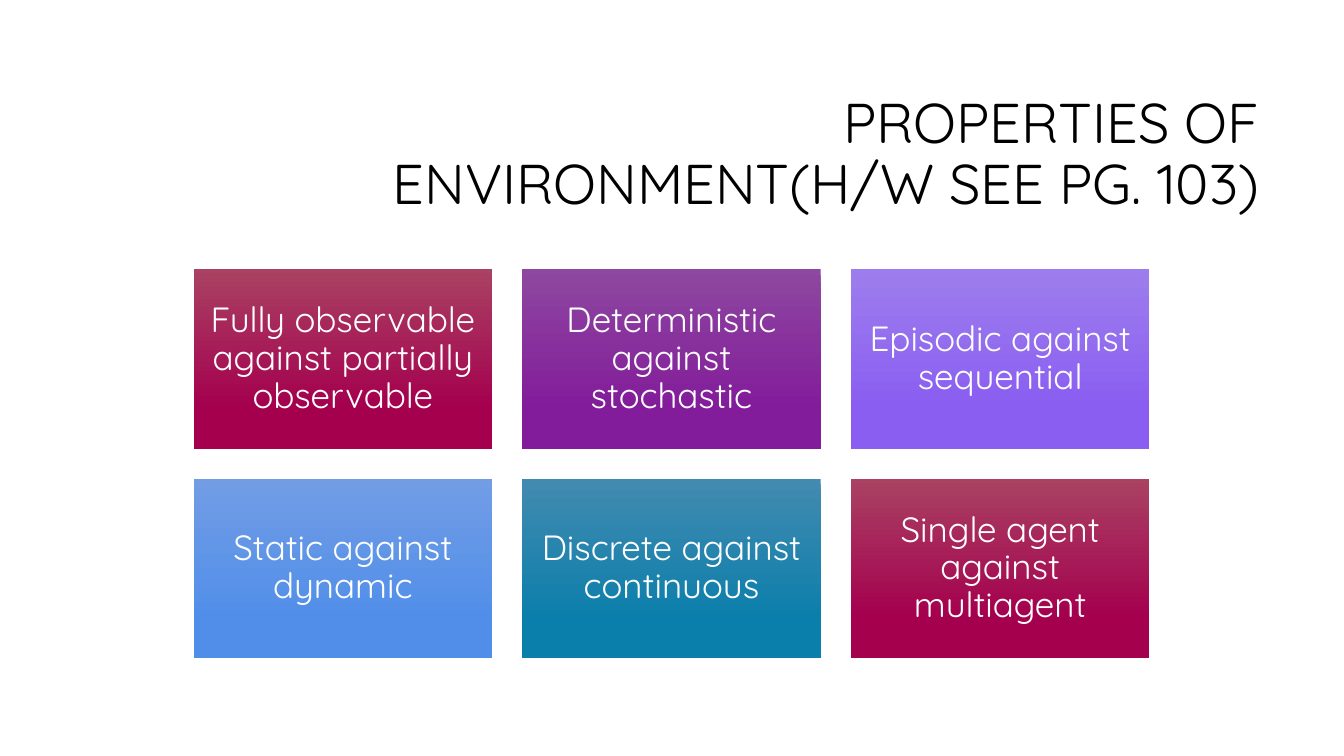
from dataclasses import dataclass

from pptx import Presentation
from pptx.dml.color import RGBColor
from pptx.enum.shapes import MSO_SHAPE
from pptx.enum.text import MSO_ANCHOR, MSO_AUTO_SIZE, PP_ALIGN
from pptx.slide import Slide
from pptx.text.text import TextFrame
from pptx.util import Inches, Pt

FONT_NAME = "Quicksand"
BLACK = RGBColor(0x00, 0x00, 0x00)
WHITE = RGBColor(0xFF, 0xFF, 0xFF)


@dataclass(frozen=True)
class Gradient:
    top: RGBColor
    bottom: RGBColor


@dataclass(frozen=True)
class Card:
    text: str
    gradient: Gradient


CRIMSON = Gradient(RGBColor(0xA9, 0x42, 0x63), RGBColor(0xA4, 0x00, 0x4E))
PURPLE = Gradient(RGBColor(0x8D, 0x48, 0xA0), RGBColor(0x83, 0x1C, 0x9A))
VIOLET = Gradient(RGBColor(0x9D, 0x7D, 0xED), RGBColor(0x8A, 0x5E, 0xF1))
BLUE = Gradient(RGBColor(0x72, 0x9D, 0xE5), RGBColor(0x51, 0x8E, 0xE9))
TEAL = Gradient(RGBColor(0x43, 0x8A, 0xB0), RGBColor(0x0B, 0x7F, 0xAB))

CARDS = [
    Card("Fully observable against partially observable", CRIMSON),
    Card("Deterministic against stochastic", PURPLE),
    Card("Episodic against sequential", VIOLET),
    Card("Static against dynamic", BLUE),
    Card("Discrete against continuous", TEAL),
    Card("Single agent against multiagent", CRIMSON),
]

COLUMNS = 3
GRID_LEFT, GRID_TOP = 1.92, 2.67
CARD_WIDTH, CARD_HEIGHT = 2.96, 1.78
GAP = 0.3
GRADIENT_END = 0.78


def write_text(frame: TextFrame, text: str, size: int, color: RGBColor,
               alignment: PP_ALIGN) -> None:
    frame.word_wrap = True
    frame.auto_size = MSO_AUTO_SIZE.NONE
    frame.vertical_anchor = MSO_ANCHOR.MIDDLE
    frame.text = text
    paragraph = frame.paragraphs[0]
    paragraph.alignment = alignment
    paragraph.line_spacing = 0.9
    paragraph.space_before = Pt(0)
    paragraph.font.name = FONT_NAME
    paragraph.font.size = Pt(size)
    paragraph.font.color.rgb = color


def add_title(slide: Slide, text: str) -> None:
    title = slide.shapes.title
    title.left, title.top = Inches(3.17), Inches(0.84)
    title.width, title.height = Inches(9.42), Inches(1.41)
    write_text(title.text_frame, text, 40, BLACK, PP_ALIGN.RIGHT)


def add_card(slide: Slide, card: Card, index: int) -> None:
    row, column = divmod(index, COLUMNS)
    shape = slide.shapes.add_shape(
        MSO_SHAPE.RECTANGLE,
        Inches(GRID_LEFT + column * (CARD_WIDTH + GAP)),
        Inches(GRID_TOP + row * (CARD_HEIGHT + GAP)),
        Inches(CARD_WIDTH),
        Inches(CARD_HEIGHT),
    )
    shape.shadow.inherit = False
    shape.line.fill.background()
    shape.fill.gradient()
    shape.fill.gradient_angle = 270
    top_stop, bottom_stop = shape.fill.gradient_stops
    top_stop.position, bottom_stop.position = 0, GRADIENT_END
    top_stop.color.rgb = card.gradient.top
    bottom_stop.color.rgb = card.gradient.bottom

    frame = shape.text_frame
    frame.margin_left = frame.margin_right = Inches(0.1)
    frame.margin_top = frame.margin_bottom = Inches(0.1)
    write_text(frame, card.text, 25, WHITE, PP_ALIGN.CENTER)


def main() -> None:
    presentation = Presentation()
    presentation.slide_width = Inches(13.33)
    presentation.slide_height = Inches(7.5)
    slide = presentation.slides.add_slide(presentation.slide_layouts[5])
    add_title(slide, "PROPERTIES OF ENVIRONMENT(H/W SEE PG. 103)")
    for index, card in enumerate(CARDS):
        add_card(slide, card, index)
    presentation.save("out.pptx")


if __name__ == "__main__":
    main()
